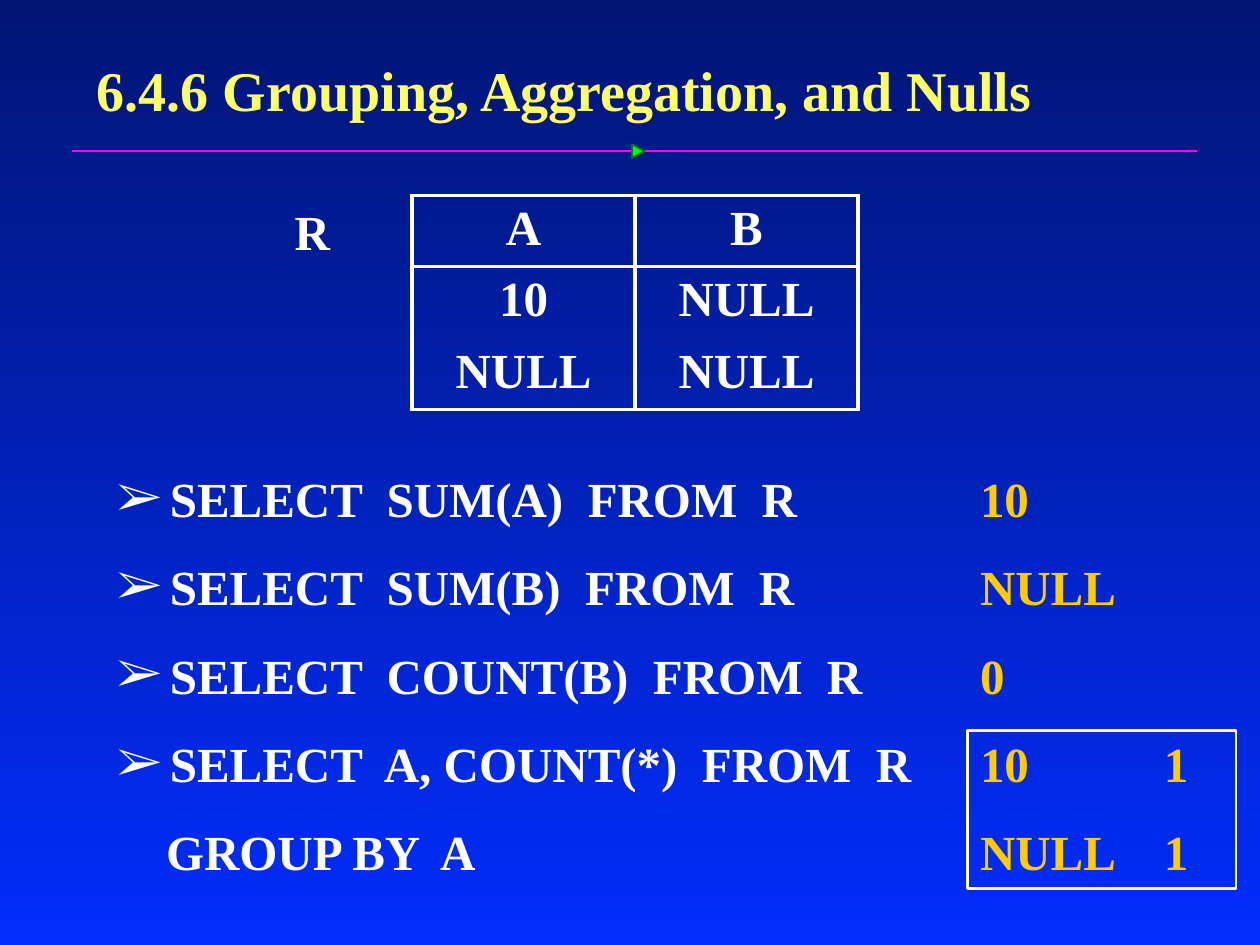
from lxml import etree
from pptx import Presentation
from pptx.dml.color import RGBColor
from pptx.enum.shapes import MSO_CONNECTOR, MSO_SHAPE
from pptx.enum.text import MSO_ANCHOR, PP_ALIGN
from pptx.oxml.ns import qn
from pptx.util import Inches, Pt

STRAIGHT = MSO_CONNECTOR.STRAIGHT
TRIANGLE = MSO_SHAPE.ISOSCELES_TRIANGLE
RECTANGLE = MSO_SHAPE.RECTANGLE
MIDDLE, TOP = MSO_ANCHOR.MIDDLE, MSO_ANCHOR.TOP
CENTER, LEFT = PP_ALIGN.CENTER, PP_ALIGN.LEFT

FONT = "Times New Roman"
WHITE, YELLOW, GOLD = "FFFFFF", "FFFF66", "FFCC00"
BODY_SIZE = 28
PARAGRAPH_GAP = 16.8
BULLET_INDENT, CONTINUATION_INDENT = 0.42, 0.39
COUNT_TAB = 1.46
BORDER_WIDTH = 2.25

RELATION = [["A", "B"], ["10", "NULL"], ["NULL", "NULL"]]
ROW_HEIGHTS = [0.43, 0.49, 0.49]
COLUMN_WIDTH = 1.77
QUERIES = [
    "SELECT  SUM(A)  FROM  R",
    "SELECT  SUM(B)  FROM  R",
    "SELECT  COUNT(B)  FROM  R",
    "SELECT  A, COUNT(*)  FROM  R",
    "GROUP BY  A",
]
RESULTS = ["10", "NULL", "0", "10\t1", "NULL\t1"]


def rgb(value):
    return RGBColor.from_string(value)


def style_runs(paragraph, color, size=BODY_SIZE):
    for run in paragraph.runs:
        run.font.name = FONT
        run.font.size = Pt(size)
        run.font.bold = True
        run.font.color.rgb = rgb(color)


def add_text(slide, box, lines, color, size=BODY_SIZE, anchor=TOP):
    frame = slide.shapes.add_textbox(*map(Inches, box)).text_frame
    frame.word_wrap = True
    frame.vertical_anchor = anchor
    frame.text = "\n".join(lines)
    for index, paragraph in enumerate(frame.paragraphs):
        paragraph.alignment = LEFT
        if index:
            paragraph.space_before = Pt(PARAGRAPH_GAP)
        style_runs(paragraph, color, size)
    return frame.paragraphs


def indent(paragraph, margin, bullet=None):
    properties = paragraph._p.get_or_add_pPr()
    properties.set("marL", str(Inches(margin)))
    if bullet:
        properties.set("indent", str(-Inches(margin)))
        etree.SubElement(properties, qn("a:buFont"), typeface=FONT)
        etree.SubElement(properties, qn("a:buChar"), char=bullet)


def add_tab_stop(paragraph, position):
    stops = etree.SubElement(paragraph._p.get_or_add_pPr(), qn("a:tabLst"))
    etree.SubElement(stops, qn("a:tab"), pos=str(Inches(position)), algn="l")


def set_borders(cell, visible_sides):
    properties = cell._tc.get_or_add_tcPr()
    for position, side in enumerate("LRTB"):
        border = etree.Element(qn(f"a:ln{side}"), w=str(Pt(BORDER_WIDTH)))
        if side in visible_sides:
            fill = etree.SubElement(border, qn("a:solidFill"))
            etree.SubElement(fill, qn("a:srgbClr"), val=WHITE)
        else:
            etree.SubElement(border, qn("a:noFill"))
        properties.insert(position, border)


def add_relation(slide, left, top):
    columns = len(RELATION[0])
    table = slide.shapes.add_table(
        len(RELATION), columns, Inches(left), Inches(top),
        Inches(COLUMN_WIDTH * columns), Inches(sum(ROW_HEIGHTS))).table
    table.first_row = table.horz_banding = False
    row_sides = ["LRTB", "LRT", "LRB"]
    for row, values in enumerate(RELATION):
        table.rows[row].height = Inches(ROW_HEIGHTS[row])
        for column, value in enumerate(values):
            table.columns[column].width = Inches(COLUMN_WIDTH)
            cell = table.cell(row, column)
            cell.text = value
            cell.fill.background()
            set_borders(cell, row_sides[row])
            paragraph = cell.text_frame.paragraphs[0]
            paragraph.alignment = CENTER
            style_runs(paragraph, WHITE)


def add_rule(slide, left, right, top, color):
    rule = slide.shapes.add_connector(
        STRAIGHT, Inches(left), Inches(top), Inches(right), Inches(top))
    rule.line.color.rgb = rgb(color)
    rule.line.width = Pt(1)
    etree.SubElement(rule._element.spPr, qn("a:effectLst"))


def add_outline(slide, kind, box, line, width, fill=None, rotation=0):
    outline = slide.shapes.add_shape(kind, *map(Inches, box))
    outline.shadow.inherit = False
    outline.rotation = rotation
    outline.line.color.rgb = rgb(line)
    outline.line.width = Pt(width)
    if fill:
        outline.fill.solid()
        outline.fill.fore_color.rgb = rgb(fill)
    else:
        outline.fill.background()


def paint_background(slide, start, end):
    fill = slide.background.fill
    fill.gradient()
    fill.gradient_angle = 270
    for stop, color in zip(fill.gradient_stops, (start, end)):
        stop.color.rgb = rgb(color)


def main():
    deck = Presentation()
    deck.slide_width, deck.slide_height = Inches(10), Inches(7.5)
    slide = deck.slides.add_slide(deck.slide_layouts[6])
    paint_background(slide, "011575", "022DFC")

    add_text(slide, (0.67, 0.28, 8.5, 0.86),
             ["6.4.6 Grouping, Aggregation, and Nulls"], YELLOW, 32, MIDDLE)
    add_relation(slide, 3.27, 1.55)
    add_rule(slide, 0.57, 9.5, 1.2, "FF01FF")
    add_outline(slide, TRIANGLE, (5.01, 1.15, 0.11, 0.1),
                "037C03", 1, "00FF00", 90)

    *selects, grouping = add_text(
        slide, (0.83, 3.67, 7.64, 3.37), QUERIES, WHITE)
    for select in selects:
        indent(select, BULLET_INDENT, "➢")
    indent(grouping, CONTINUATION_INDENT)

    add_text(slide, (2.24, 1.55, 0.63, 0.57), ["R"], WHITE)
    results = add_text(slide, (7.68, 3.67, 2.13, 3.37), RESULTS, GOLD)
    for group in results[-2:]:
        add_tab_stop(group, COUNT_TAB)
    add_outline(slide, RECTANGLE, (7.68, 5.8, 2.13, 1.25), WHITE, 1.5)

    deck.save("out.pptx")


if __name__ == "__main__":
    main()
